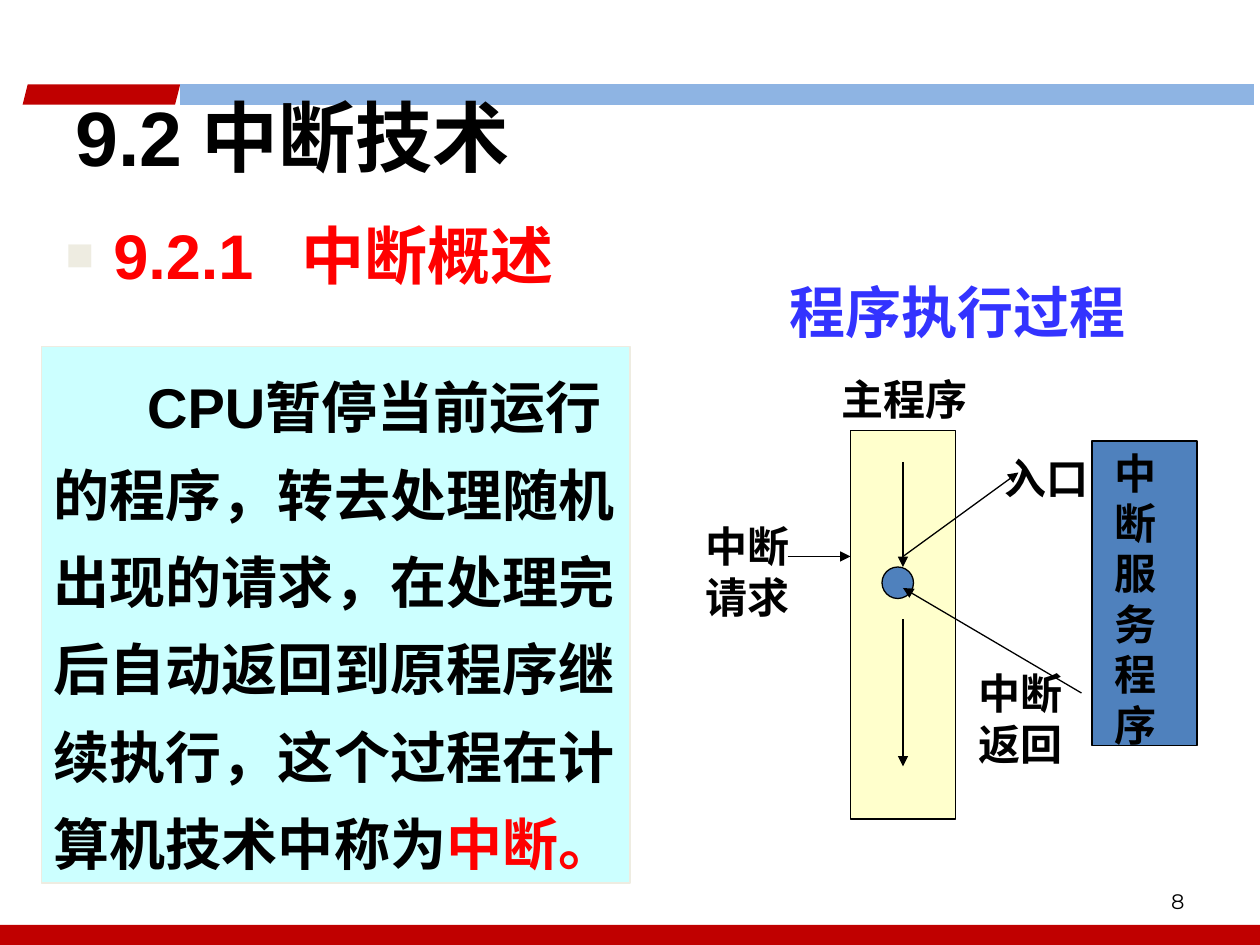
from lxml.etree import SubElement
from pptx import Presentation
from pptx.dml.color import RGBColor
from pptx.enum.shapes import MSO_CONNECTOR, MSO_SHAPE as Shape
from pptx.enum.text import MSO_ANCHOR as Anchor, MSO_AUTO_SIZE, PP_ALIGN as Align
from pptx.oxml.ns import qn
from pptx.util import Inches, Pt

BLACK = RGBColor(0x00, 0x00, 0x00)
RED = RGBColor(0xFF, 0x00, 0x00)
DARK_RED = RGBColor(0xC0, 0x00, 0x00)
LIGHT_BLUE = RGBColor(0x8E, 0xB4, 0xE3)
BLUE = RGBColor(0x4F, 0x81, 0xBD)
VIOLET = RGBColor(0x33, 0x33, 0xFF)
CYAN = RGBColor(0xCC, 0xFF, 0xFF)
CREAM = RGBColor(0xFF, 0xFF, 0xCC)
GREY = RGBColor(0xEE, 0xEC, 0xE1)

CHINESE_FONT = "Noto Sans CJK SC"
CELL = 1 / 12  # the flow diagram sits on a grid of twelfths of an inch

TITLE = "9.2\t中断技术"
SUBTITLE = "9.2.1\t中断概述"
DEFINITION = [
    ("CPU暂停当前运行的程序，转去处理随机出现的请求，"
     "在处理完后自动返回到原程序继续执行，这个过程在计算机技术中称为", BLACK),
    ("中断。", RED),
]

# kind, (left, top, width, height) in inches, fill, slant
BARS = [
    (Shape.RECTANGLE, (0, 7.34, 10, 0.16), DARK_RED, None),
    (Shape.PARALLELOGRAM, (0.18, 0.67, 1.25, 0.16), DARK_RED, 0.25),
    (Shape.PARALLELOGRAM, (1.43, 0.67, 8.52, 0.16), LIGHT_BLUE, 0),
]

# Diagram places are in grid cells
MAIN_PROGRAM = (Shape.RECTANGLE, (81, 41, 10, 37), CREAM)
BREAKPOINT = (Shape.OVAL, (84, 54, 3, 3), BLUE)
SERVICE_PROGRAM = (Shape.RECTANGLE, (104, 42, 10, 29), BLUE)
ARROWS_BEFORE_BREAK = [((86, 44), (86, 54))]
ARROWS_AFTER_BREAK = [
    ((86, 53), (97, 45)),
    ((103, 66), (86, 56)),
    ((86, 59), (86, 73)),
    ((75, 53), (81, 53)),
]
LABELS = [
    ("中断服务程序", (105, 42, 6, 30)),
    ("入口", (94.5, 42.5, 11, 6)),
    ("中断请求", (66, 49, 11, 10.8)),
    ("中断返回", (92, 63, 13, 10.8)),
    ("主程序", (79, 35, 16, 6)),
]


def inches(values, unit=1):
    return [Inches(value * unit) for value in values]


def place(shape, box):
    shape.left, shape.top, shape.width, shape.height = inches(box)


def add_shape(slide, kind, box, fill, line=None, unit=1):
    shape = slide.shapes.add_shape(kind, *inches(box, unit))
    shape.shadow.inherit = False
    shape.fill.solid()
    shape.fill.fore_color.rgb = fill
    if line is None:
        shape.line.fill.background()
    else:
        shape.line.color.rgb = line
        shape.line.width = Pt(0.75)
    return shape


def add_arrow(slide, start, end):
    arrow = slide.shapes.add_connector(
        MSO_CONNECTOR.STRAIGHT, *inches(start + end, CELL))
    arrow.line.color.rgb = BLACK
    arrow.line.width = Pt(0.75)
    SubElement(arrow.line._get_or_add_ln(), qn("a:tailEnd"), type="triangle")
    SubElement(arrow.element.spPr, qn("a:effectLst"))


def write(shape, runs, size, font="Arial", bold=True, anchor=Anchor.TOP, **layout):
    """Fill a shape with one paragraph of (text, colour) runs."""
    frame = shape.text_frame
    frame.word_wrap = True
    frame.auto_size = MSO_AUTO_SIZE.NONE
    frame.vertical_anchor = anchor
    paragraph = frame.paragraphs[0]
    for name, value in {"alignment": Align.LEFT, "space_before": Pt(0), **layout}.items():
        setattr(paragraph, name, value)
    for text, color in runs:
        run = paragraph.add_run()
        run.text = text
        run.font.color.rgb = color
        for name, value in {"name": font, "size": Pt(size), "bold": bold}.items():
            setattr(run.font, name, value)
        SubElement(run.font._element, qn("a:ea"), typeface=CHINESE_FONT)


def add_text(slide, text, box, size, color=BLACK, unit=1, **style):
    write(slide.shapes.add_textbox(*inches(box, unit)), [(text, color)], size, **style)


def set_tab(paragraph_properties, position):
    tabs = SubElement(paragraph_properties, qn("a:tabLst"))
    SubElement(tabs, qn("a:tab"), pos=str(Inches(position)), algn="l")


def set_bullet(paragraph_properties, color, percent, character):
    bullet_color = SubElement(paragraph_properties, qn("a:buClr"))
    SubElement(bullet_color, qn("a:srgbClr"), val=str(color))
    SubElement(paragraph_properties, qn("a:buSzPct"), val=str(percent * 1000))
    SubElement(paragraph_properties, qn("a:buFont"), typeface="Arial")
    SubElement(paragraph_properties, qn("a:buChar"), char=character)


def indent(shape, left, first):
    properties = shape.text_frame.paragraphs[0]._p.get_or_add_pPr()
    properties.set("marL", str(Inches(left)))
    properties.set("indent", str(Inches(first)))
    return properties


def add_headings(slide):
    title, body = slide.shapes.title, slide.placeholders[1]
    for placeholder in (title, body):  # bring in front of the bars
        placeholder.element.getparent().append(placeholder.element)
    place(title, (0.5, 0.33, 9, 1.5))
    set_tab(indent(title, 0, 0), 1.33)
    write(title, [(TITLE, BLACK)], 44, anchor=Anchor.MIDDLE)

    place(body, (0.42, 1.67, 9, 0.75))
    properties = indent(body, 0.38, -0.38)
    set_bullet(properties, GREY, 75, "■")
    set_tab(properties, 1.87)
    write(body, [(SUBTITLE, RED)], 36)


def add_diagram(slide):
    for parts, arrows in [([MAIN_PROGRAM], ARROWS_BEFORE_BREAK),
                          ([BREAKPOINT], ARROWS_AFTER_BREAK),
                          ([SERVICE_PROGRAM], [])]:
        for kind, box, fill in parts:
            add_shape(slide, kind, box, fill, BLACK, CELL)
        for start, end in arrows:
            add_arrow(slide, start, end)
    for text, box in LABELS:
        add_text(slide, text, box, 24, unit=CELL)


def main():
    presentation = Presentation()
    presentation.slide_width, presentation.slide_height = inches((10, 7.5))
    slide = presentation.slides.add_slide(presentation.slide_layouts[1])

    for kind, box, fill, slant in BARS:
        bar = add_shape(slide, kind, box, fill)
        if slant is not None:
            bar.adjustments[0] = slant
    add_headings(slide)

    definition = add_shape(slide, Shape.RECTANGLE, (0.33, 2.75, 4.67, 4.26), CYAN, GREY)
    indent(definition, 0, 0.74)
    write(definition, DEFINITION, 32, anchor=Anchor.MIDDLE, line_spacing=1.3)

    add_diagram(slide)
    add_text(slide, "程序执行过程", (6.17, 2.15, 3.98, 0.64), 32, VIOLET, font=CHINESE_FONT)
    add_text(slide, "8", (7.17, 6.95, 2.33, 0.4), 12, font="Montserrat", bold=False,
             anchor=Anchor.MIDDLE, alignment=Align.RIGHT)
    presentation.save("out.pptx")


if __name__ == "__main__":
    main()
